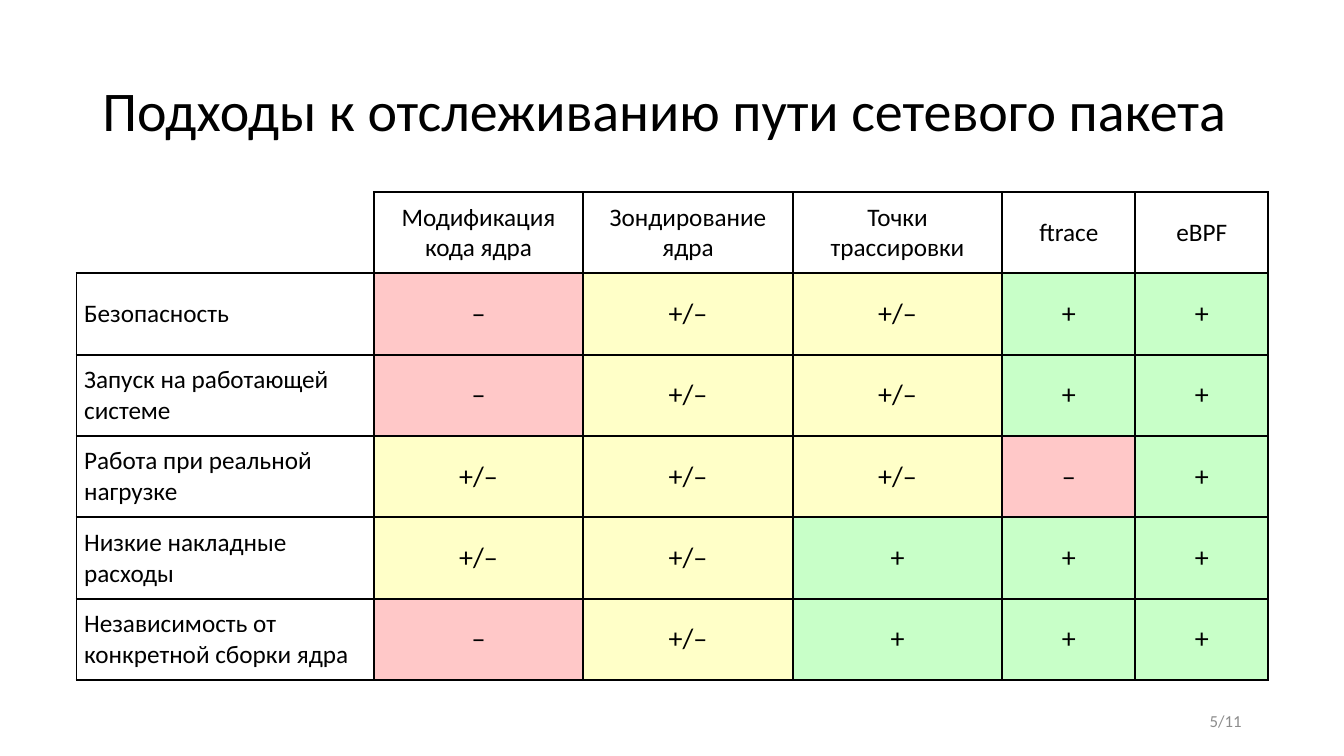
from lxml import etree
from pptx import Presentation
from pptx import util as u
from pptx.dml.color import RGBColor
from pptx.enum import text
from pptx.oxml.ns import qn

BLACK = RGBColor(0x00, 0x00, 0x00)
GRAY = RGBColor(0x8C, 0x8C, 0x8C)
RED = RGBColor(0xFF, 0xC8, 0xC8)
YELLOW = RGBColor(0xFF, 0xFF, 0xC8)
GREEN = RGBColor(0xC8, 0xFF, 0xC8)

LEFT, CENTER, RIGHT = text.PP_ALIGN.LEFT, text.PP_ALIGN.CENTER, text.PP_ALIGN.RIGHT
MARK_FILLS = {"–": RED, "+/–": YELLOW, "+": GREEN}

APPROACHES = ["Модификация кода ядра", "Зондирование ядра",
              "Точки трассировки", "ftrace", "eBPF"]
CRITERIA = [
    ("Безопасность", ["–", "+/–", "+/–", "+", "+"]),
    ("Запуск на работающей системе", ["–", "+/–", "+/–", "+", "+"]),
    ("Работа при реальной нагрузке", ["+/–", "+/–", "+/–", "–", "+"]),
    ("Низкие накладные расходы", ["+/–", "+/–", "+", "+", "+"]),
    ("Независимость от конкретной сборки ядра", ["–", "+/–", "+", "+", "+"]),
]
COLUMN_WIDTHS = [7.49, 5.28, 5.28, 5.28, 3.35, 3.35]
ROW_HEIGHT = 2.05


def write(tf, content, *, font="Calibri", size=18, color=BLACK, align=LEFT, spacing=None):
    p = tf.paragraphs[0]
    p.alignment = align
    if spacing:
        p.line_spacing = spacing
    r = p.add_run()
    r.text = content
    r.font.name = font
    r.font.size = u.Pt(size)
    r.font.color.rgb = color


class SlideBuilder:
    def __init__(self, slide, border_color=BLACK, border_width=1.5):
        self.s = slide
        self.border_color = border_color
        self.border_width = u.Pt(border_width)

    def textbox(self, x, y, w, h, content, **fmt):
        sp = self.s.shapes.add_textbox(u.Cm(x), u.Cm(y), u.Cm(w), u.Cm(h))
        tf = sp.text_frame
        tf.word_wrap = True
        tf.vertical_anchor = text.MSO_ANCHOR.MIDDLE
        write(tf, content, **fmt)

    def borders(self, cell, visible):
        tc_pr = cell._tc.get_or_add_tcPr()
        for side in "LRTB":
            ln = etree.SubElement(tc_pr, qn(f"a:ln{side}"), w=str(self.border_width))
            if side in visible:
                fill = etree.SubElement(ln, qn("a:solidFill"))
                etree.SubElement(fill, qn("a:srgbClr"), val=str(self.border_color))
            else:
                etree.SubElement(ln, qn("a:noFill"))

    def cell(self, cell, content, fill=None, visible="LRTB", **fmt):
        self.borders(cell, visible)
        cell.margin_left = cell.margin_right = u.Cm(0.19)
        cell.margin_top = cell.margin_bottom = 0
        cell.vertical_anchor = text.MSO_ANCHOR.MIDDLE
        if fill is None:
            cell.fill.background()
        else:
            cell.fill.solid()
            cell.fill.fore_color.rgb = fill
        if content:
            write(cell.text_frame, content, **fmt)

    def table(self, x, y, widths, row_height, rows):
        frame = self.s.shapes.add_table(rows, len(widths), u.Cm(x), u.Cm(y),
                                        u.Cm(sum(widths)), u.Cm(rows * row_height))
        table = frame.table
        table.first_row = table.horz_banding = False
        for column, width in zip(table.columns, widths):
            column.width = u.Cm(width)
        for row in table.rows:
            row.height = u.Cm(row_height)
        return table


def main():
    prs = Presentation()
    prs.slide_width, prs.slide_height = u.Cm(33.87), u.Cm(19.05)
    slide = SlideBuilder(prs.slides.add_slide(prs.slide_layouts[6]))

    # Title
    slide.textbox(2.33, 1.01, 29.21, 3.68, "Подходы к отслеживанию пути сетевого пакета",
                  size=40, spacing=0.9)

    # Comparison table: open corner, approaches across, criteria down
    table = slide.table(1.93, 4.84, COLUMN_WIDTHS, ROW_HEIGHT, len(CRITERIA) + 1)
    slide.cell(table.cell(0, 0), "", visible="RB")
    for col, approach in enumerate(APPROACHES, 1):
        slide.cell(table.cell(0, col), approach, align=CENTER)
    for row, (criterion, marks) in enumerate(CRITERIA, 1):
        slide.cell(table.cell(row, 0), criterion)
        for col, mark in enumerate(marks, 1):
            slide.cell(table.cell(row, col), mark, fill=MARK_FILLS[mark],
                       size=20, align=CENTER)

    # Page number
    slide.textbox(23.92, 17.66, 7.62, 1.01, "5/11", size=12, color=GRAY, align=RIGHT)

    prs.save("out.pptx")


if __name__ == "__main__":
    main()
